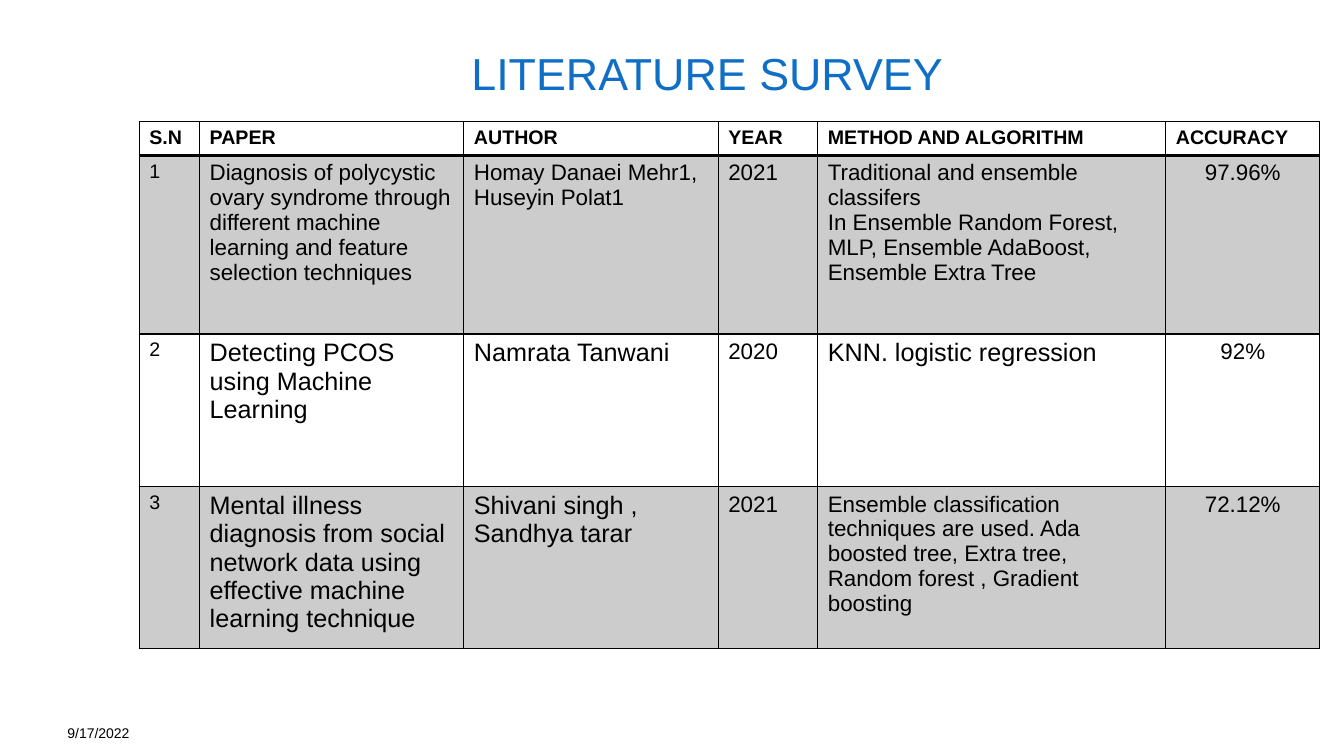
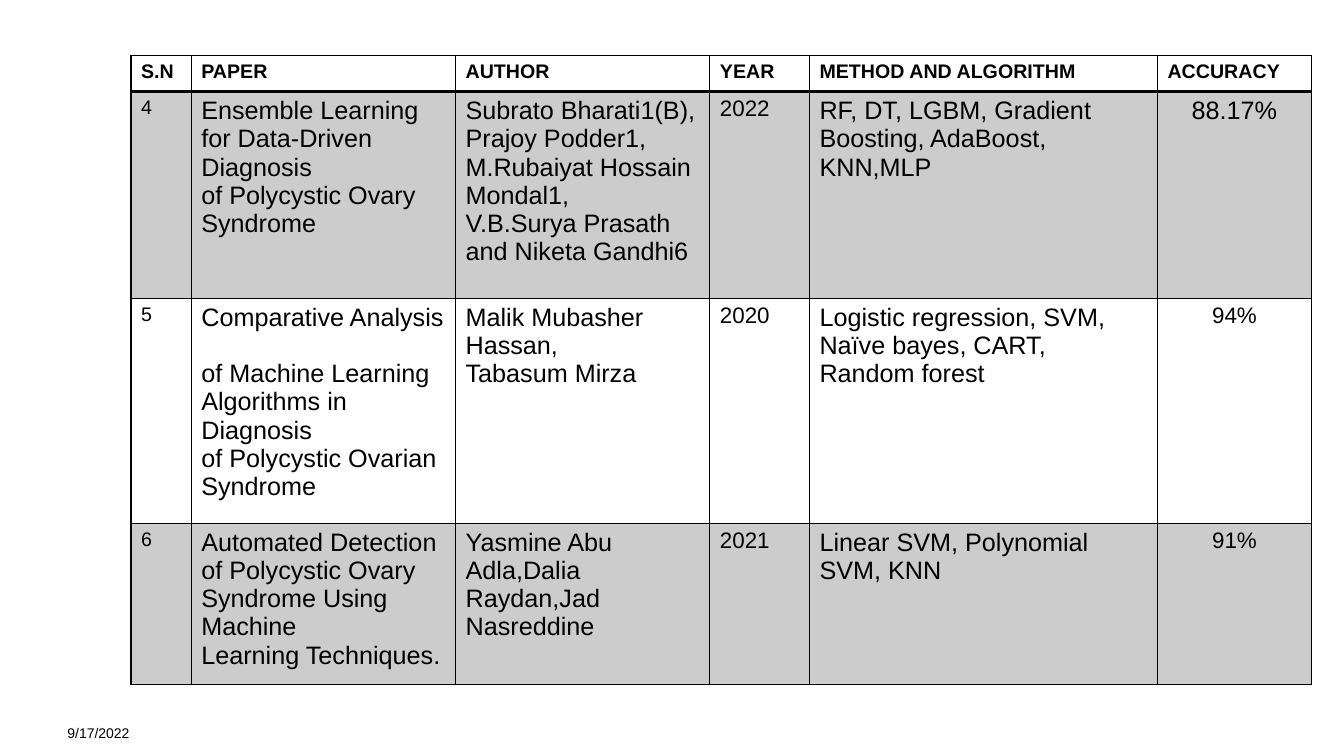
from lxml import etree
from pptx import Presentation
from pptx.dml.color import RGBColor
from pptx.enum.text import MSO_ANCHOR, PP_ALIGN
from pptx.oxml.ns import qn
from pptx.util import Cm, Pt

BLACK = RGBColor(0x00, 0x00, 0x00)
WHITE = RGBColor(0xFF, 0xFF, 0xFF)
GREY = RGBColor(0xCC, 0xCC, 0xCC)
BLUE = RGBColor(0x0F, 0x6F, 0xC6)
FONT = "Arial"

HEADINGS = ["S.N", "PAPER", "AUTHOR", "YEAR", "METHOD AND ALGORITHM", "ACCURACY"]
COLUMN_WIDTHS = [1.52, 6.66, 6.41, 2.51, 8.77, 3.88]
HEADING_SIZES = [14] * len(HEADINGS)
USUAL_SIZES = [14, 18, 18, 16, 18, 16]

# One entry per slide; each survey row holds its texts and their font sizes
SURVEYS = [
    {
        "title": "LITERATURE SURVEY",
        "left": 3.51, "top": 3.07,
        "heights": [0.8, 4.5, 3.85, 3.64],
        "rows": [
            (["1",
              "Diagnosis of polycystic ovary syndrome through different machine "
              "learning and feature selection techniques",
              "Homay Danaei Mehr1, Huseyin Polat1",
              "2021",
              "Traditional and ensemble classifers\nIn Ensemble Random Forest,\n"
              "MLP, Ensemble AdaBoost,\nEnsemble Extra Tree",
              "97.96%"], [14, 16, 16, 16, 16, 16]),
            (["2",
              "Detecting PCOS \vusing Machine \vLearning",
              "Namrata Tanwani",
              "2020",
              "KNN. logistic regression",
              "92%"], USUAL_SIZES),
            (["3",
              "Mental illness diagnosis from social network data using effective "
              "machine learning technique",
              "Shivani singh , Sandhya tarar",
              "2021",
              "Ensemble classification techniques are used. Ada boosted tree, "
              "Extra tree, Random forest , Gradient boosting",
              "72.12%"], [14, 18, 18, 16, 16, 16]),
        ],
    },
    {
        "title": None,
        "left": 3.3, "top": 1.4,
        "heights": [0.91, 5.21, 5.67, 3.64],
        "rows": [
            (["4",
              "Ensemble Learning for Data-Driven Diagnosis\v"
              "of Polycystic Ovary Syndrome",
              "Subrato Bharati1(B),\vPrajoy Podder1,\vM.Rubaiyat Hossain Mondal1,\v"
              "V.B.Surya Prasath\vand Niketa Gandhi6",
              "2022",
              "RF, DT, LGBM, Gradient Boosting, AdaBoost, KNN,MLP",
              "88.17%"], [14, 18, 18, 16, 18, 18]),
            (["5",
              "Comparative Analysis \vof Machine Learning \v"
              "Algorithms in Diagnosis \vof Polycystic Ovarian \vSyndrome",
              "Malik Mubasher Hassan,\vTabasum Mirza",
              "2020",
              "Logistic regression, SVM, Naïve bayes, CART, Random forest",
              "94%"], USUAL_SIZES),
            (["6",
              "Automated Detection \vof Polycystic Ovary \v"
              "Syndrome Using Machine \vLearning Techniques.",
              "Yasmine Abu Adla,Dalia Raydan,Jad Nasreddine",
              "2021",
              "Linear SVM, Polynomial SVM, KNN",
              "91%"], USUAL_SIZES),
        ],
    },
]


def write_text(frame, text, size, color=BLACK, bold=False, align=PP_ALIGN.LEFT):
    frame.word_wrap = True
    frame.text = text
    for paragraph in frame.paragraphs:
        paragraph.alignment = align
        paragraph.font.name = FONT
        paragraph.font.size = Pt(size)
        paragraph.font.bold = bold
        paragraph.font.color.rgb = color


def set_borders(cell, widths):
    """Draw black cell borders; widths maps each side to points."""
    properties = cell._tc.get_or_add_tcPr()
    for position, (side, width) in enumerate(widths.items()):
        line = etree.Element(qn(f"a:{side}"), w=str(Pt(width)))
        fill = etree.SubElement(line, qn("a:solidFill"))
        etree.SubElement(fill, qn("a:srgbClr"), val=str(BLACK))
        properties.insert(position, line)


deck = Presentation()
deck.slide_width = Cm(33.87)
deck.slide_height = Cm(19.05)

for survey in SURVEYS:
    page = deck.slides.add_slide(deck.slide_layouts[6])

    # Date in the footer
    date_box = page.shapes.add_textbox(Cm(1.7), Cm(17.65), Cm(7.9), Cm(1.02))
    frame = date_box.text_frame
    frame.margin_left = frame.margin_right = frame.margin_top = frame.margin_bottom = 0
    frame.vertical_anchor = MSO_ANCHOR.BOTTOM
    write_text(frame, "9/17/2022", 10)

    # Title
    if survey["title"]:
        title_box = page.shapes.add_textbox(Cm(11.63), Cm(1.04), Cm(15.21), Cm(1.37))
        write_text(title_box.text_frame, survey["title"], 32, BLUE)

    # Survey table
    heights = survey["heights"]
    table = page.shapes.add_table(
        len(heights), len(HEADINGS), Cm(survey["left"]), Cm(survey["top"]),
        Cm(sum(COLUMN_WIDTHS)), Cm(sum(heights))).table
    table.first_row = False
    table.horz_banding = False
    for column, width in zip(table.columns, COLUMN_WIDTHS):
        column.width = Cm(width)
    for row, height in zip(table.rows, heights):
        row.height = Cm(height)

    for row_index, (texts, sizes) in enumerate([(HEADINGS, HEADING_SIZES)] + survey["rows"]):
        heading = row_index == 0
        for column_index, (text, size) in enumerate(zip(texts, sizes)):
            cell = table.cell(row_index, column_index)
            cell.fill.solid()
            cell.fill.fore_color.rgb = GREY if row_index % 2 else WHITE
            set_borders(cell, {"lnL": 1, "lnR": 1,
                               "lnT": 2 if row_index == 1 else 1,
                               "lnB": 2 if heading else 1})
            centred = not heading and column_index == len(HEADINGS) - 1
            write_text(cell.text_frame, text, size, bold=heading,
                       align=PP_ALIGN.CENTER if centred else PP_ALIGN.LEFT)

deck.save("out.pptx")
